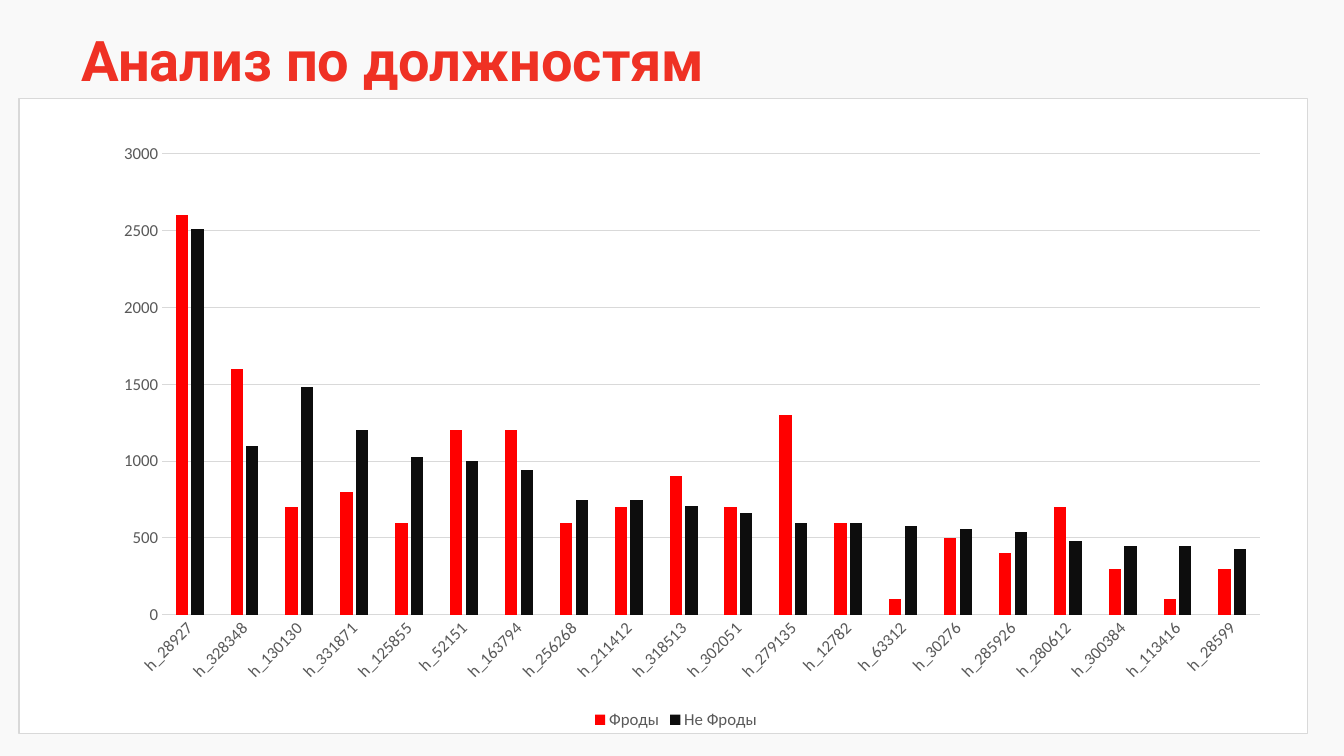
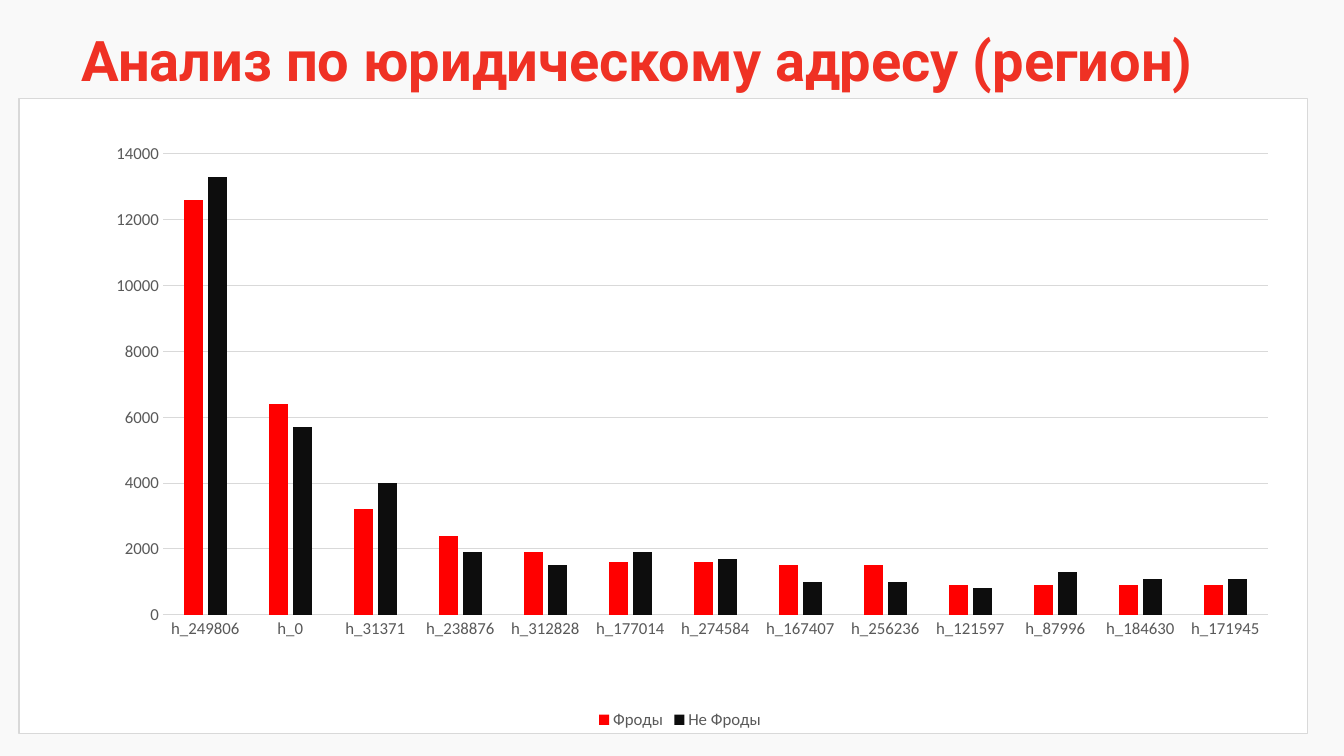
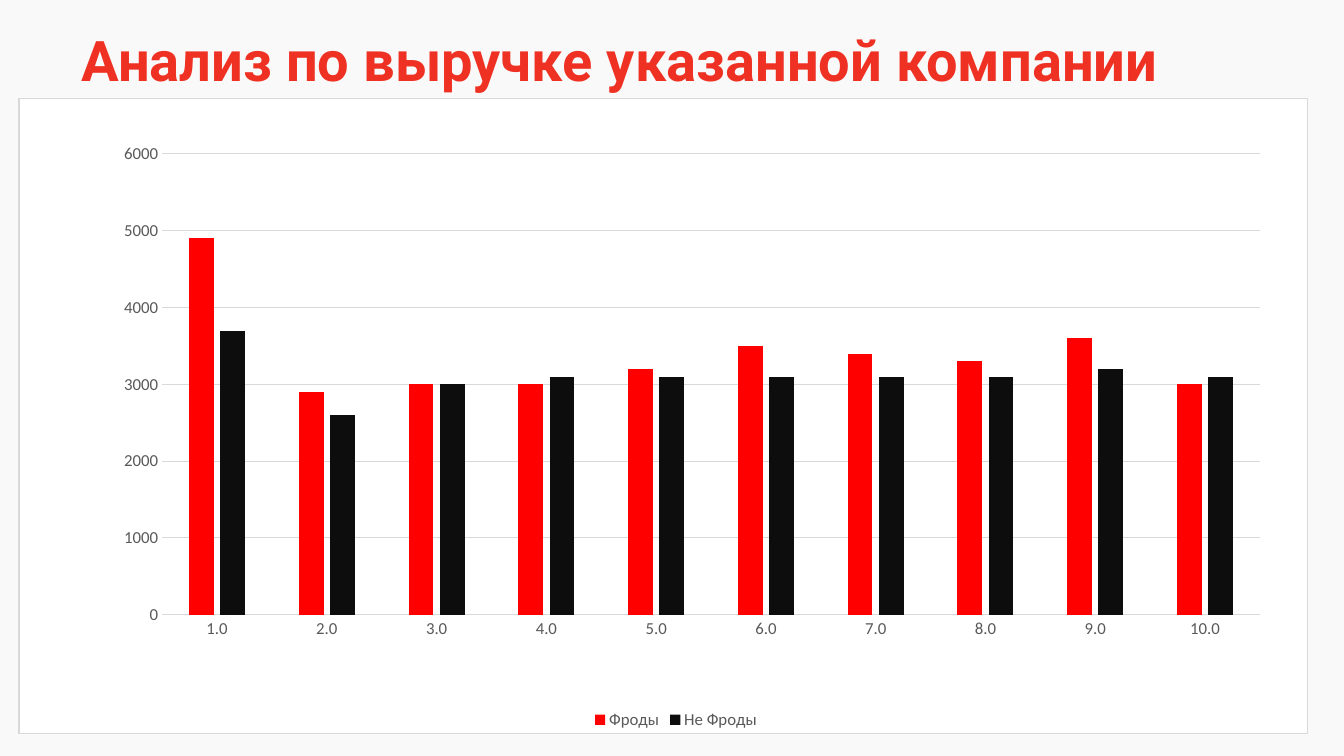
from lxml import etree
from pptx import Presentation
from pptx.chart.data import CategoryChartData
from pptx.dml.color import RGBColor
from pptx.enum.chart import XL_CHART_TYPE, XL_LEGEND_POSITION, XL_TICK_MARK
from pptx.enum.shapes import MSO_SHAPE
from pptx.enum.text import MSO_ANCHOR, MSO_AUTO_SIZE, PP_ALIGN
from pptx.oxml.ns import qn
from pptx.util import Inches, Pt

COLUMNS = XL_CHART_TYPE.COLUMN_CLUSTERED
LEGEND_BOTTOM = XL_LEGEND_POSITION.BOTTOM
NO_TICKS = XL_TICK_MARK.NONE
RECTANGLE = MSO_SHAPE.RECTANGLE
TOP = MSO_ANCHOR.TOP
GROW = MSO_AUTO_SIZE.SHAPE_TO_FIT_TEXT
LEFT = PP_ALIGN.LEFT
TITLE_ONLY = 5

COLORS = {
    "background": "F9F9F9",
    "panel": "FFFFFF",
    "line": "D9D9D9",
    "title": "EF3124",
    "label": "595959",
    "fraud": "FF0000",
    "normal": "0D0D0D",
}
SERIES = (("Фроды", "fraud"), ("Не Фроды", "normal"))
PLOT_AREA = {"x": 0.075, "y": 0.03, "w": 0.908, "h": 0.771}

ANALYSES = [
    {
        "title": "Анализ по должностям",
        "width": 11.99,
        "maximum": 3000,
        "step": 500,
        "categories": [
            "h_28927", "h_328348", "h_130130", "h_331871", "h_125855",
            "h_52151", "h_163794", "h_256268", "h_211412", "h_318513",
            "h_302051", "h_279135", "h_12782", "h_63312", "h_30276",
            "h_285926", "h_280612", "h_300384", "h_113416", "h_28599",
        ],
        "fraud": [2600, 1600, 700, 800, 600, 1200, 1200, 600, 700, 900,
                  700, 1300, 600, 100, 500, 400, 700, 300, 100, 300],
        "normal": [2510, 1100, 1480, 1200, 1030, 1000, 940, 750, 750, 710,
                   660, 600, 600, 580, 560, 540, 480, 450, 450, 430],
    },
    {
        "title": "Анализ по юридическому адресу (регион)",
        "width": 12.07,
        "maximum": 14000,
        "step": 2000,
        "categories": [
            "h_249806", "h_0", "h_31371", "h_238876", "h_312828",
            "h_177014", "h_274584", "h_167407", "h_256236", "h_121597",
            "h_87996", "h_184630", "h_171945",
        ],
        "fraud": [12600, 6400, 3200, 2400, 1900, 1600, 1600, 1500, 1500,
                  900, 900, 900, 900],
        "normal": [13300, 5700, 4000, 1900, 1500, 1900, 1700, 1000, 1000,
                   800, 1300, 1100, 1100],
    },
    {
        "title": "Анализ по выручке указанной компании",
        "width": 11.99,
        "maximum": 6000,
        "step": 1000,
        "categories": [f"{group}.0" for group in range(1, 11)],
        "fraud": [4900, 2900, 3000, 3000, 3200, 3500, 3400, 3300, 3600, 3000],
        "normal": [3700, 2600, 3000, 3100, 3100, 3100, 3100, 3100, 3200, 3100],
    },
]


def color(name):
    return RGBColor.from_string(COLORS[name])


class Deck:
    title_font = "Roboto"
    chart_font = "Calibri"

    def __init__(self):
        self.presentation = Presentation()
        self.presentation.slide_width = Inches(13.33)
        self.presentation.slide_height = Inches(7.5)
        self.slide = None

    def add_slide(self):
        layout = self.presentation.slide_layouts[TITLE_ONLY]
        self.slide = self.presentation.slides.add_slide(layout)
        fill = self.slide.background.fill
        fill.solid()
        fill.fore_color.rgb = color("background")

    def add_title(self, text):
        title = self.slide.shapes.title
        title.left, title.top = Inches(0.71), Inches(0.2)
        title.width, title.height = Inches(12.26), Inches(0.77)
        frame = title.text_frame
        frame.word_wrap = True
        frame.auto_size = GROW
        frame.vertical_anchor = TOP
        paragraph = frame.paragraphs[0]
        paragraph.alignment = LEFT
        run = paragraph.add_run()
        run.text = text
        run.font.name = self.title_font
        run.font.size = Pt(40)
        run.font.bold = True
        run.font.color.rgb = color("title")

    def add_panel(self):
        panel = self.slide.shapes.add_shape(
            RECTANGLE, Inches(0.19), Inches(0.98), Inches(12.78), Inches(6.3))
        panel.shadow.inherit = False
        panel.fill.solid()
        panel.fill.fore_color.rgb = color("panel")
        self.style_line(panel.line, 1)

    def add_chart(self, analysis):
        data = CategoryChartData()
        data.categories = analysis["categories"]
        for name, key in SERIES:
            data.add_series(name, analysis[key])
        chart = self.slide.shapes.add_chart(
            COLUMNS, Inches(0.71), Inches(1.35),
            Inches(analysis["width"]), Inches(5.93), data).chart
        chart.has_title = False
        chart.has_legend = True
        chart.legend.position = LEGEND_BOTTOM
        chart.legend.include_in_layout = False
        for part in (chart, chart.legend,
                     chart.category_axis.tick_labels, chart.value_axis.tick_labels):
            self.style_font(part.font)
        self.style_axes(chart, analysis)
        plot = chart.plots[0]
        plot.gap_width = 219
        plot.overlap = -27
        plot.vary_by_categories = False
        for series, (_, key) in zip(plot.series, SERIES):
            series.format.fill.solid()
            series.format.fill.fore_color.rgb = color(key)
        self.place_plot(chart)

    def style_axes(self, chart, analysis):
        for axis in (chart.category_axis, chart.value_axis):
            axis.major_tick_mark = NO_TICKS
            axis.minor_tick_mark = NO_TICKS
        self.style_line(chart.category_axis.format.line, 0.75)
        values = chart.value_axis
        values.minimum_scale = 0
        values.maximum_scale = analysis["maximum"]
        values.major_unit = analysis["step"]
        values.format.line.fill.background()
        values.has_major_gridlines = True
        self.style_line(values.major_gridlines.format.line, 0.75)

    def style_font(self, font):
        font.name = self.chart_font
        font.size = Pt(12)
        font.color.rgb = color("label")

    def style_line(self, line, width):
        line.color.rgb = color("line")
        line.width = Pt(width)

    def place_plot(self, chart):
        plot_area = chart.element.find(".//" + qn("c:plotArea"))
        for layout in plot_area.findall(qn("c:layout")):
            plot_area.remove(layout)
        layout = etree.Element(qn("c:layout"))
        manual = etree.SubElement(layout, qn("c:manualLayout"))
        settings = {"layoutTarget": "inner", "xMode": "edge", "yMode": "edge"}
        for tag, value in {**settings, **PLOT_AREA}.items():
            etree.SubElement(manual, qn("c:" + tag)).set("val", str(value))
        plot_area.insert(0, layout)


def main():
    deck = Deck()
    for analysis in ANALYSES:
        deck.add_slide()
        deck.add_panel()
        deck.add_chart(analysis)
        deck.add_title(analysis["title"])
    deck.presentation.save("out.pptx")


if __name__ == "__main__":
    main()
